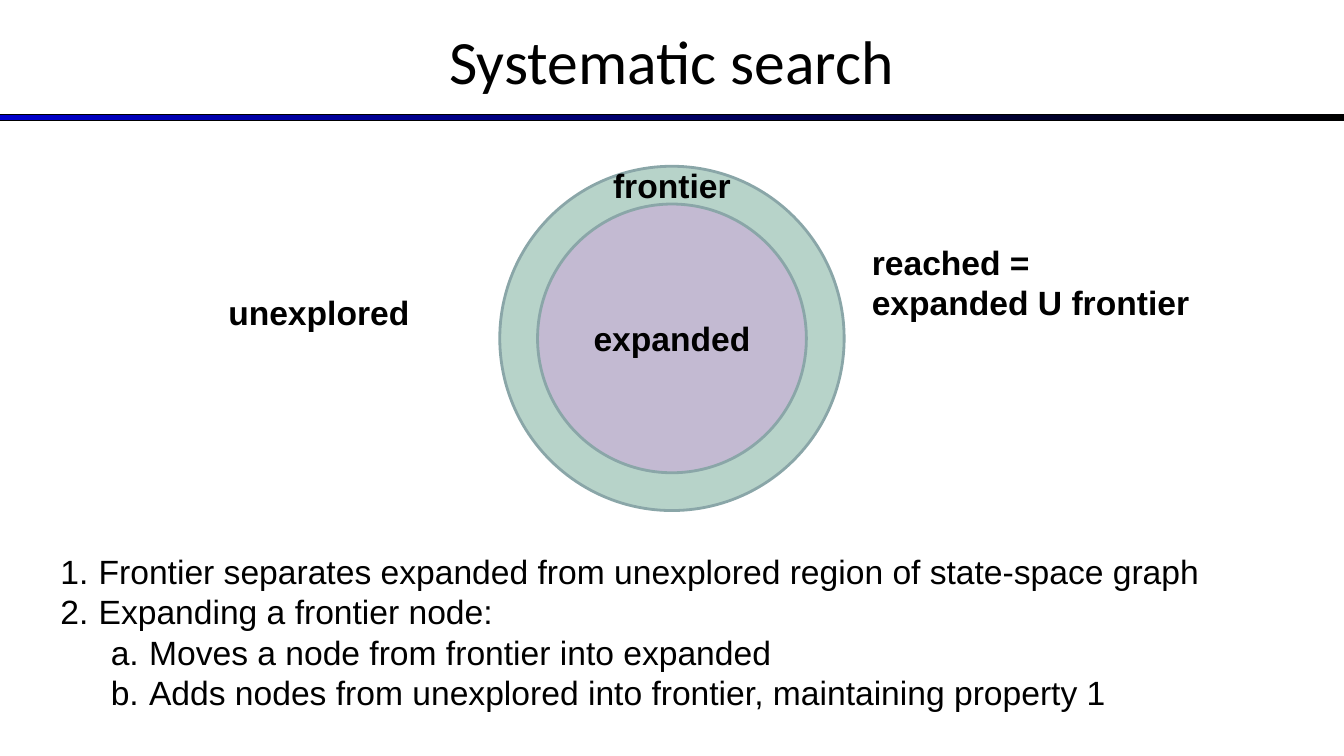
from dataclasses import dataclass

from lxml.etree import SubElement
from pptx import Presentation
from pptx.dml.color import RGBColor
from pptx.enum.shapes import MSO_SHAPE
from pptx.enum.text import MSO_ANCHOR, PP_ALIGN
from pptx.oxml.ns import qn
from pptx.shapes.autoshape import Shape
from pptx.slide import Slide
from pptx.text.text import TextFrame
from pptx.util import Emu, Inches, Pt

COLORS = {
    "text": "000000",
    "bar_start": "0000CC",
    "bar_end": "000000",
    "frontier": "B7D3C9",
    "expanded": "C3BAD2",
    "outline": "8AA6A8",
}
COLUMNS = 16
SLIDE_WIDTH, SLIDE_HEIGHT = Inches(13.33), Inches(7.5)
CELL = SLIDE_WIDTH / COLUMNS
CENTER_COLUMN, CENTER_ROW = COLUMNS / 2, 4.03
INDENT = Inches(0.38)


@dataclass
class Area:
    """Place on the grid, in columns and rows."""
    column: float
    row: float
    columns: float
    rows: float

    def box(self) -> tuple[Emu, ...]:
        return tuple(Emu(round(cells * CELL))
                     for cells in (self.column, self.row, self.columns, self.rows))


@dataclass
class Region:
    diameter: float
    color: str


@dataclass
class Label:
    lines: list[str]
    area: Area


@dataclass
class Point:
    text: str
    level: int = 0


REGIONS = [Region(4.1, "frontier"), Region(3.2, "expanded")]
LABELS = [
    Label(["frontier"], Area(7.18, 1.9, 1.66, 0.6)),
    Label(["unexplored"], Area(2.6, 3.42, 2.41, 0.6)),
    Label(["reached =", "expanded U frontier"], Area(10.26, 2.82, 4.16, 1.09)),
]
POINTS = [
    Point("Frontier separates expanded from unexplored region of state-space graph"),
    Point("Expanding a frontier node:"),
    Point("Moves a node from frontier into expanded", 1),
    Point("Adds nodes from unexplored into frontier, maintaining property 1", 1),
]
NUMBERING = ["arabicPeriod", "alphaLcPeriod"]


def rgb(name: str) -> RGBColor:
    return RGBColor.from_string(COLORS[name])


def write(frame: TextFrame, lines: list[str], size: int = 24, bold: bool = False,
          face: str = "Arial", align: PP_ALIGN = PP_ALIGN.LEFT) -> None:
    frame.text = "\n".join(lines)
    for paragraph in frame.paragraphs:
        paragraph.alignment = align
        font = paragraph.font
        font.name, font.size, font.bold = face, Pt(size), bold
        font.color.rgb = rgb("text")


def add_outlined(slide: Slide, kind: MSO_SHAPE, area: Area,
                 outline: str, width: float) -> Shape:
    shape = slide.shapes.add_shape(kind, *area.box())
    shape.shadow.inherit = False
    shape.line.color.rgb = rgb(outline)
    shape.line.width = Pt(width)
    return shape


def add_title(slide: Slide, title: str) -> None:
    bar = add_outlined(slide, MSO_SHAPE.RECTANGLE, Area(0, 1.36, COLUMNS, 0.08),
                       "text", 0.75)
    bar.fill.gradient()
    bar.fill.gradient_angle = 0
    for stop, color in zip(bar.fill.gradient_stops, ("bar_start", "bar_end")):
        stop.color.rgb = rgb(color)
    frame = slide.shapes.add_textbox(*Area(0, -0.04, COLUMNS, 1.5).box()).text_frame
    frame.word_wrap = True
    frame.vertical_anchor = MSO_ANCHOR.MIDDLE
    write(frame, [title], 44, face="Calibri", align=PP_ALIGN.CENTER)


def add_region(slide: Slide, region: Region) -> Shape:
    size = region.diameter
    area = Area(CENTER_COLUMN - size / 2, CENTER_ROW - size / 2, size, size)
    circle = add_outlined(slide, MSO_SHAPE.OVAL, area, "outline", 2)
    circle.fill.solid()
    circle.fill.fore_color.rgb = rgb(region.color)
    return circle


def add_label(slide: Slide, label: Label) -> None:
    frame = slide.shapes.add_textbox(*label.area.box()).text_frame
    frame.word_wrap = False
    write(frame, label.lines, bold=True)


def add_points(slide: Slide, points: list[Point], area: Area) -> None:
    frame = slide.shapes.add_textbox(*area.box()).text_frame
    frame.word_wrap = True
    frame.text = "\n".join(point.text for point in points)
    for paragraph, point in zip(frame.paragraphs, points):
        paragraph.level = point.level
        properties = paragraph._p.get_or_add_pPr()
        properties.set("marL", str(INDENT + point.level * Inches(0.5)))
        properties.set("indent", str(-INDENT))
        SubElement(properties, qn("a:buFont"), typeface="+mj-lt")
        SubElement(properties, qn("a:buAutoNum"), type=NUMBERING[point.level])
        font = paragraph.font
        font.name, font.size = "Arial", Pt(24)
        font.color.rgb = rgb("text")


def main() -> None:
    deck = Presentation()
    deck.slide_width, deck.slide_height = SLIDE_WIDTH, SLIDE_HEIGHT
    slide = deck.slides.add_slide(deck.slide_layouts[6])
    add_title(slide, "Systematic search")
    circles = [add_region(slide, region) for region in REGIONS]
    expanded = circles[-1].text_frame
    expanded.vertical_anchor = MSO_ANCHOR.MIDDLE
    write(expanded, ["expanded"], bold=True, align=PP_ALIGN.CENTER)
    for label in LABELS:
        add_label(slide, label)
    add_points(slide, POINTS, Area(0.6, 6.5, 14.8, 2.06))
    deck.save("out.pptx")


if __name__ == "__main__":
    main()
